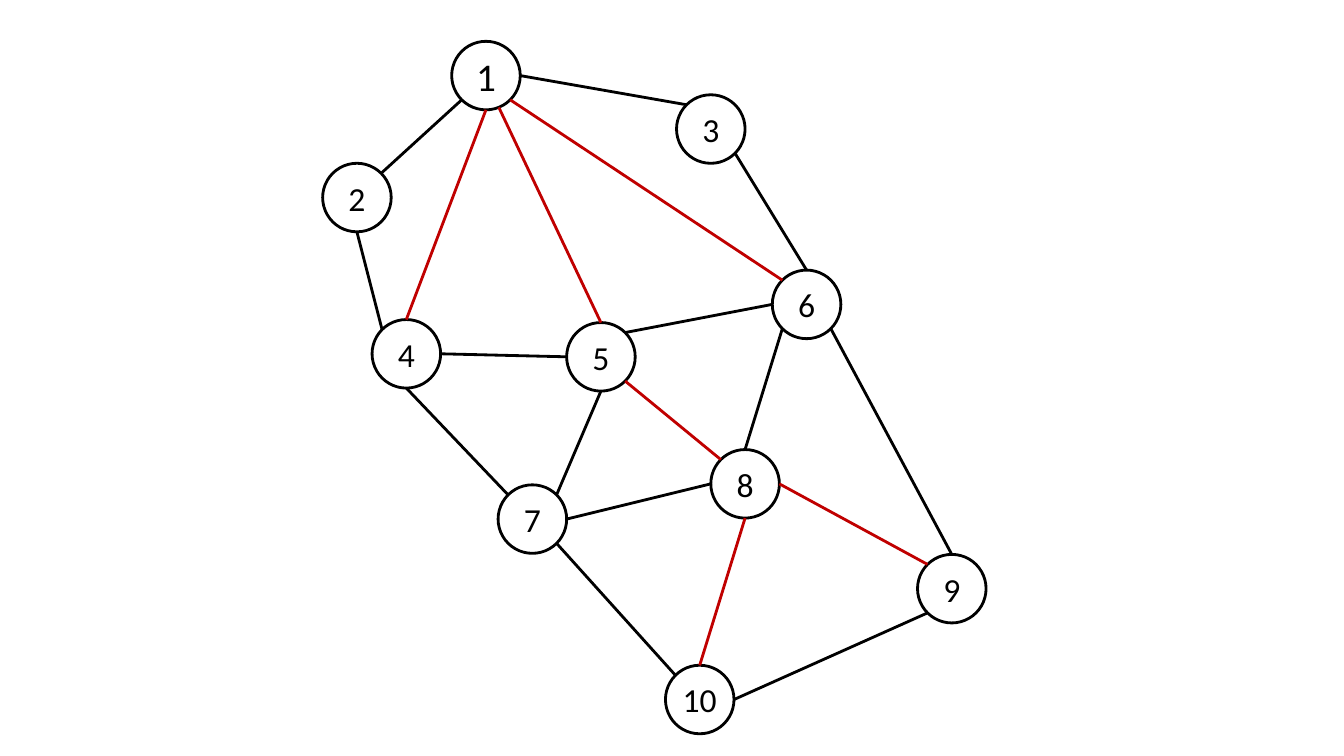
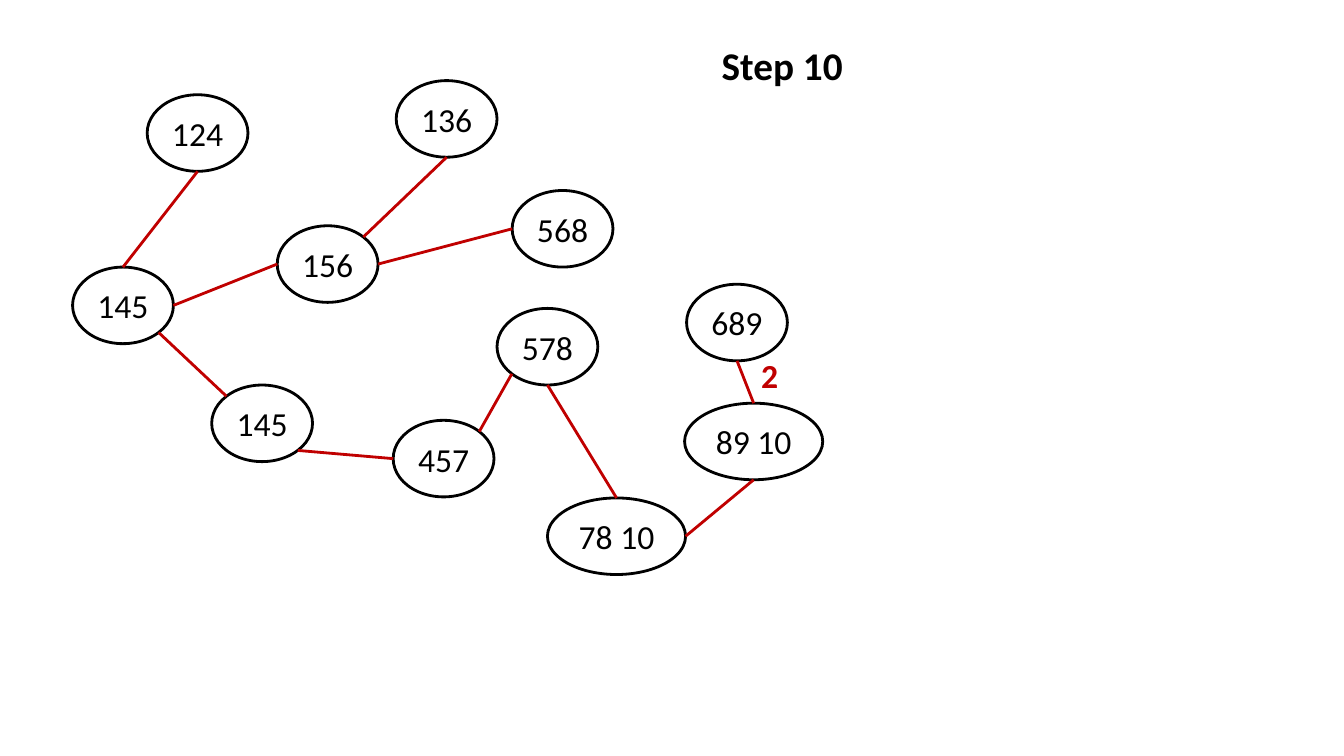
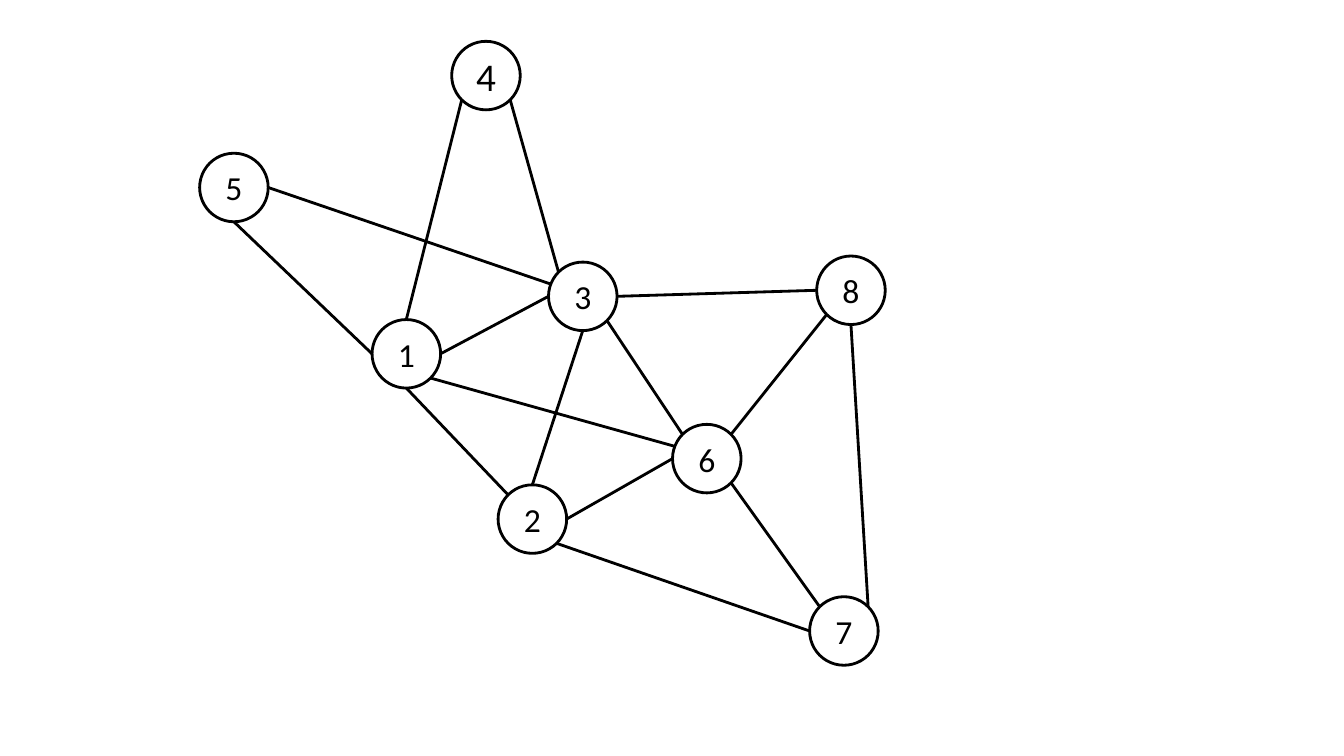
from math import cos, radians, sin

from lxml.etree import SubElement
from pptx import Presentation
from pptx.dml.color import RGBColor
from pptx.enum.shapes import MSO_CONNECTOR, MSO_SHAPE
from pptx.enum.text import MSO_ANCHOR, PP_ALIGN
from pptx.oxml.ns import qn
from pptx.util import Inches, Pt

# Shared look
COLORS = {"ink": "000000", "accent": "C00000"}
FONT = "Calibri"
LINE_WIDTH = 2
TEXT_SIZE, LARGE_SIZE = 24, 28
CIRCLE = (0.68, 0.68)
OVAL = (1, 0.76)
WIDE_OVAL = (1.37, 0.76)

# Directions around a node, in degrees clockwise from the right
ANGLES = {side: 45 * step for step, side in
          enumerate(["E", "SE", "S", "SW", "W", "NW", "N", "NE"])}

# Content: nodes are key: (label, left, top, size, text size);
# edges read "node side node side", a side being a compass point or an angle
SLIDES = [
    {
        "nodes": {
            "1": ("1", 4.48, 0.41, CIRCLE, LARGE_SIZE),
            "2": ("2", 3.2, 1.62, CIRCLE, TEXT_SIZE),
            "4": ("4", 3.69, 3.17, CIRCLE, TEXT_SIZE),
            "5": ("5", 5.62, 3.2, CIRCLE, TEXT_SIZE),
            "6": ("6", 7.66, 2.68, CIRCLE, TEXT_SIZE),
            "3": ("3", 6.71, 0.94, CIRCLE, TEXT_SIZE),
            "7": ("7", 4.94, 4.81, CIRCLE, TEXT_SIZE),
            "8": ("8", 7.05, 4.46, CIRCLE, TEXT_SIZE),
            "9": ("9", 9.1, 5.5, CIRCLE, TEXT_SIZE),
            "10": ("10", 6.6, 6.6, CIRCLE, TEXT_SIZE),
        },
        "edges": {
            "ink": ["1 SW 2 NE", "4 NW 2 S", "5 W 4 E", "7 NW 4 S", "7 NE 5 S",
                    "7 E 8 W", "7 SE 10 NW", "9 SW 10 E", "9 N 6 SE", "8 N 6 SW",
                    "5 NE 6 W", "3 SE 6 N", "1 E 3 NW"],
            "accent": ["8 E 9 NW", "8 S 10 N", "5 SE 8 NW", "1 S 4 N",
                       "1 68 5 N", "1 SE 6 NW"],
        },
        "labels": [],
    },
    {
        "nodes": {
            "124": ("124", 1.46, 0.94, OVAL, TEXT_SIZE),
            "145": ("145", 0.72, 2.65, OVAL, TEXT_SIZE),
            "156": ("156", 2.75, 2.24, OVAL, TEXT_SIZE),
            "136": ("136", 3.93, 0.8, OVAL, TEXT_SIZE),
            "568": ("568", 5.08, 1.89, OVAL, TEXT_SIZE),
            "145-lower": ("145", 2.1, 3.82, OVAL, TEXT_SIZE),
            "457": ("457", 3.9, 4.17, OVAL, TEXT_SIZE),
            "578": ("578", 4.93, 3.06, OVAL, TEXT_SIZE),
            "78-10": ("78 10", 5.43, 4.94, WIDE_OVAL, TEXT_SIZE),
            "89-10": ("89 10", 6.79, 4, WIDE_OVAL, TEXT_SIZE),
            "689": ("689", 6.81, 2.82, OVAL, TEXT_SIZE),
        },
        "edges": {
            "accent": ["124 S 145 N", "156 W 145 E", "136 S 156 NE", "568 W 156 E",
                       "145-lower NW 145 SE", "457 W 145-lower SE",
                       "457 NE 578 SW", "78-10 N 578 S", "89-10 S 78-10 E",
                       "689 S 89-10 N"],
        },
        "labels": [
            ("Step 10", 7.06, 0.36, 1.42, 0.57, LARGE_SIZE, "ink"),
            ("2", 7.45, 3.47, 0.37, 0.5, TEXT_SIZE, "accent"),
        ],
    },
    {
        "nodes": {
            "4": ("4", 4.48, 0.41, CIRCLE, LARGE_SIZE),
            "5": ("5", 1.98, 1.52, CIRCLE, TEXT_SIZE),
            "1": ("1", 3.69, 3.17, CIRCLE, TEXT_SIZE),
            "3": ("3", 5.44, 2.6, CIRCLE, TEXT_SIZE),
            "8": ("8", 8.1, 2.54, CIRCLE, TEXT_SIZE),
            "2": ("2", 4.94, 4.81, CIRCLE, TEXT_SIZE),
            "6": ("6", 6.67, 4.21, CIRCLE, TEXT_SIZE),
            "7": ("7", 8.03, 5.92, CIRCLE, TEXT_SIZE),
        },
        "edges": {
            "ink": ["4 SW 1 N", "1 W 5 S", "3 W 1 E", "2 NW 1 S", "2 N 3 S",
                    "2 E 6 W", "2 SE 7 W", "6 201 1 SE", "6 NE 8 SW", "3 E 8 W",
                    "5 E 3 201", "4 SE 3 NW", "3 SE 6 NW", "7 NE 8 S", "7 NW 6 SE"],
        },
        "labels": [],
    },
]


def color(name):
    return RGBColor.from_string(COLORS[name])


def write(shape, text, size, color_name="ink", bold=False):
    shape.text_frame.word_wrap = False
    para = shape.text_frame.paragraphs[0]
    para.text = text
    para.font.name = FONT
    para.font.size = Pt(size)
    para.font.bold = bold
    para.font.color.rgb = color(color_name)
    return para


def draw_line(line, color_name):
    line.color.rgb = color(color_name)
    line.width = Pt(LINE_WIDTH)


def add_node(page, label, left, top, size, text_size):
    node = page.shapes.add_shape(MSO_SHAPE.OVAL, Inches(left), Inches(top),
                                 *map(Inches, size))
    node.shadow.inherit = False
    node.fill.background()
    draw_line(node.line, "ink")
    write(node, label, text_size).alignment = PP_ALIGN.CENTER
    node.text_frame.vertical_anchor = MSO_ANCHOR.MIDDLE


def rim_point(node, side):
    """Point of a node's outline in the given direction."""
    _, left, top, (width, height), _ = node
    angle = radians(ANGLES[side] if side in ANGLES else float(side))
    return (Inches(left + width / 2 * (1 + cos(angle))),
            Inches(top + height / 2 * (1 + sin(angle))))


def add_edge(page, nodes, edge, color_name):
    start, start_side, end, end_side = edge.split()
    connector = page.shapes.add_connector(
        MSO_CONNECTOR.STRAIGHT,
        *rim_point(nodes[start], start_side), *rim_point(nodes[end], end_side))
    draw_line(connector.line, color_name)
    SubElement(connector._element.spPr, qn("a:effectLst"))


def add_label(page, text, left, top, width, height, size, color_name):
    box = page.shapes.add_textbox(*map(Inches, (left, top, width, height)))
    write(box, text, size, color_name, bold=True)


def main():
    deck = Presentation()
    deck.slide_width, deck.slide_height = Inches(13.33), Inches(7.5)
    for content in SLIDES:
        page = deck.slides.add_slide(deck.slide_layouts[6])
        for node in content["nodes"].values():
            add_node(page, *node)
        for color_name, edges in content["edges"].items():
            for edge in edges:
                add_edge(page, content["nodes"], edge, color_name)
        for label in content["labels"]:
            add_label(page, *label)
    deck.save("out.pptx")


if __name__ == "__main__":
    main()
